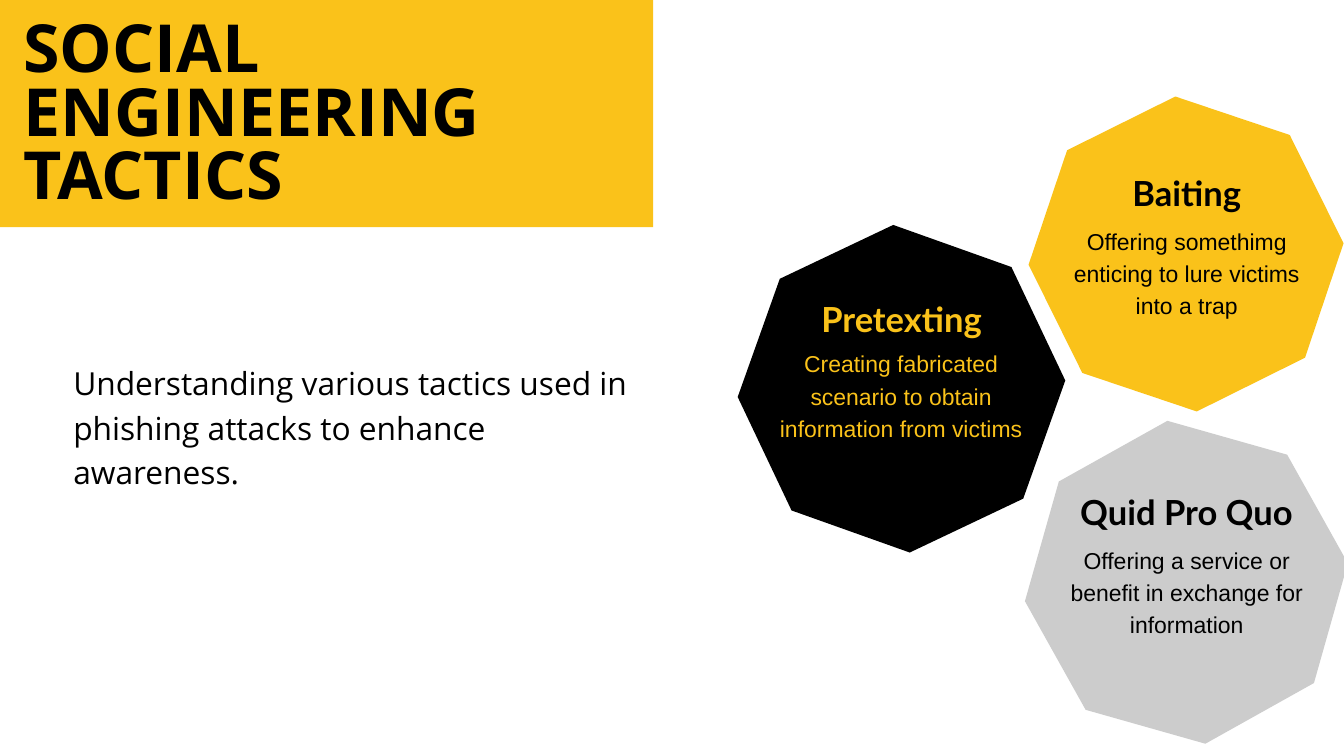
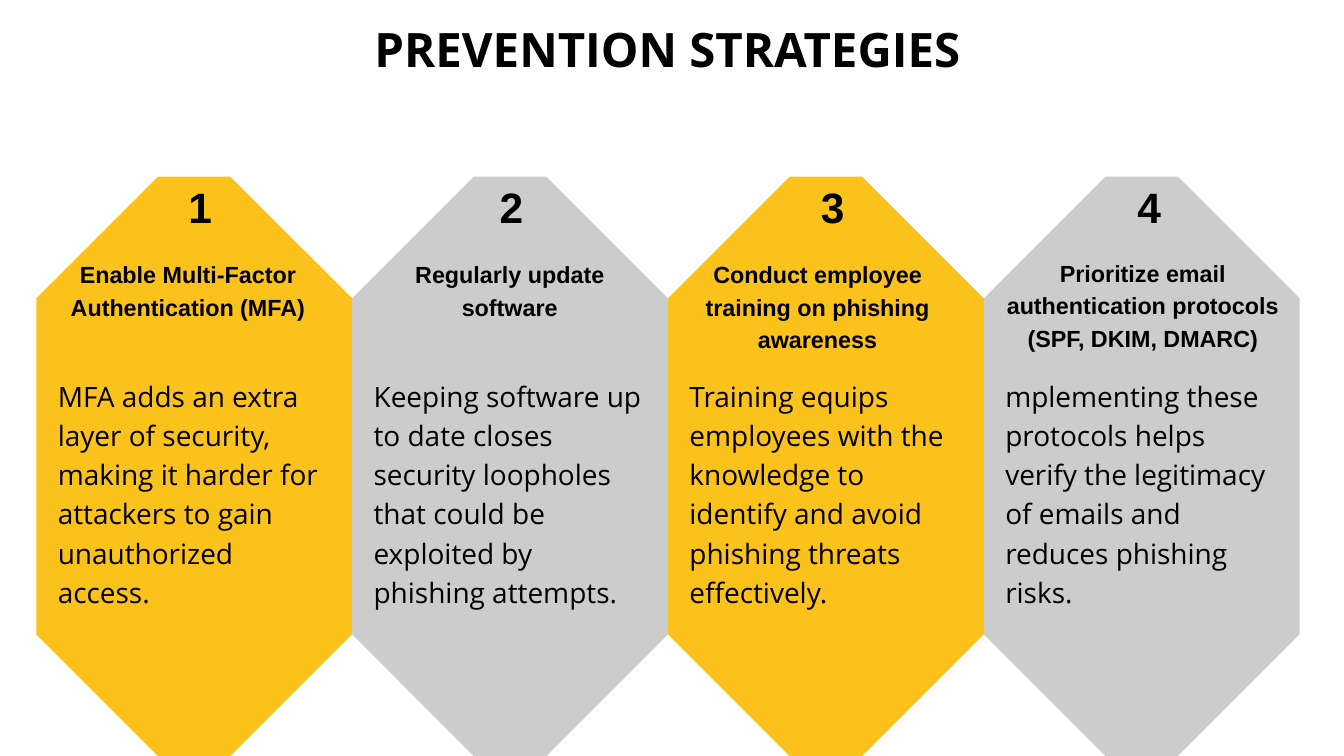
from pptx import Presentation
from pptx import util as u
from pptx.dml.color import RGBColor
from pptx.enum import shapes, text

COLORS = {"black": "000000", "gold": "FAC21A", "gray": "CCCCCC"}
TITLE = {"name": "Open Sans", "bold": True}
BODY = {"name": "Open Sans", "bold": False}
HEADING = {"name": "Lato", "bold": True, "size": u.Pt(37)}
DETAIL = {"name": "Arial", "bold": False, "size": u.Pt(24.6)}
NUMBER = {"name": "Arial", "bold": True, "size": u.Pt(45.5)}
LABEL = {"name": "Arial", "bold": True, "size": u.Pt(25)}
LEFT, CENTER = text.PP_ALIGN.LEFT, text.PP_ALIGN.CENTER
FRAME = {
    "margin_left": 0, "margin_top": 0, "margin_right": 0, "margin_bottom": 0,
    "word_wrap": True, "vertical_anchor": text.MSO_ANCHOR.TOP,
    "auto_size": text.MSO_AUTO_SIZE.NONE,
}


def write(sp, box, words, font, spacing, align=CENTER, color="black"):
    sp.left, sp.top, sp.width, sp.height = [u.Inches(v) for v in box]
    tf = sp.text_frame
    for key, value in FRAME.items():
        setattr(tf, key, value)
    p = tf.paragraphs[0]
    layout = {"alignment": align, "line_spacing": u.Pt(spacing), "space_before": u.Pt(0)}
    for key, value in layout.items():
        setattr(p, key, value)
    r = p.add_run()
    r.text = words
    for key, value in font.items():
        setattr(r.font, key, value)
    r.font.color.rgb = RGBColor.from_string(COLORS[color])
    return p


def add_octagon(s, x, y, w, h, cut, color, rotation=0):
    points = [
        (x + w - cut, y), (x + w, y + cut), (x + w, y + h - cut), (x + w - cut, y + h),
        (x + cut, y + h), (x, y + h - cut), (x, y + cut), (x + cut, y),
    ]
    points = [(u.Inches(px), u.Inches(py)) for px, py in points]
    outline = s.shapes.build_freeform(*points[0], scale=1.0)
    outline.add_line_segments(points[1:], close=True)
    sp = outline.convert_to_shape()
    sp.shadow.inherit = False
    sp.fill.solid()
    sp.fill.fore_color.rgb = RGBColor.from_string(COLORS[color])
    sp.line.fill.background()
    sp.rotation = rotation


prs = Presentation()
prs.slide_width, prs.slide_height = u.Inches(20), u.Inches(11.25)

s = prs.slides.add_slide(prs.slide_layouts[1])
band = s.shapes.add_shape(
    shapes.MSO_SHAPE.RECTANGLE, u.Inches(-0.58), 0, u.Inches(10.3), u.Inches(3.38))
band.shadow.inherit = False
band.fill.solid()
band.fill.fore_color.rgb = RGBColor.from_string(COLORS["gold"])
band.line.fill.background()
s.shapes.element.insert(2, band.element)

write(s.shapes.title, (0.35, 0.33, 9.01, 2.88), "SOCIAL ENGINEERING TACTICS",
      {**TITLE, "size": u.Pt(71)}, 68.2, LEFT)
p = write(s.placeholders[1], (1.09, 5.32, 8.63, 1.95),
          "Understanding various tactics used in phishing attacks to enhance awareness.",
          {**BODY, "size": u.Pt(34)}, 47.6, LEFT)
pPr = p._p.get_or_add_pPr()
pPr.set("marL", "0")
pPr.set("indent", "0")
pPr.append(pPr.makeelement("{http://schemas.openxmlformats.org/drawingml/2006/main}buNone", {}))

tactics = [
    ("Pretexting", "Creating fabricated scenario to obtain information from victims",
     (11.16, 3.53, 4.51), 19.6, "black", "gold", (12.12, 4.33, 2.59), (11.58, 5.14)),
    ("Quid Pro Quo", "Offering a service or benefit in exchange for information",
     (15.42, 6.43, 4.47), 330.8, "gray", "black", (16.01, 7.2, 3.29), (15.83, 8.06)),
    ("Baiting", "Offering somethimg enticing to lure victims into a trap",
     (15.48, 1.61, 4.34), 18.6, "gold", "black", (16.8, 2.46, 1.72), (15.83, 3.32)),
]
for name, detail, (x, y, size), rotation, fill, ink, heading_at, detail_at in tactics:
    add_octagon(s, x, y, size, size, size * 0.293, fill, rotation)
    write(s.shapes.add_textbox(0, 0, 0, 0), (*heading_at, 0.69), name, HEADING, 51.8, color=ink)
    write(s.shapes.add_textbox(0, 0, 0, 0), (*detail_at, 3.66, 1.39), detail, DETAIL, 34.4, color=ink)

s = prs.slides.add_slide(prs.slide_layouts[5])
write(s.shapes.title, (5.57, 0.36, 8.72, 1.58), "PREVENTION STRATEGIES",
      {**TITLE, "size": u.Pt(50.8)}, 56.9)

strategies = [
    ("Enable Multi-Factor Authentication (MFA)",
     "MFA adds an extra layer of security, making it harder for attackers to gain unauthorized access.",
     2.8, (0.55, 3.8, 4.49, 0.94)),
    ("Regularly update software",
     "Keeping software up to date closes security loopholes that could be exploited by phishing attempts.",
     7.43, (5.57, 3.8, 4.03, 0.94)),
    ("Conduct employee training on phishing awareness",
     "Training equips employees with the knowledge to identify and avoid phishing threats effectively.",
     12.21, (10, 3.8, 4.33, 1.42)),
    ("Prioritize email authentication protocols (SPF, DKIM, DMARC)",
     "mplementing these protocols helps verify the legitimacy of emails and reduces phishing risks.",
     16.92, (14.76, 3.78, 4.49, 1.42)),
]
card_width = 4.7
for i, (label, detail, number_x, label_box) in enumerate(strategies):
    x = 0.54 + i * card_width
    add_octagon(s, x, 2.63, card_width, 8.62, 1.81, ("gold", "gray")[i % 2])
    write(s.shapes.add_textbox(0, 0, 0, 0), (number_x, 2.57, 0.36, 0.84), str(i + 1), NUMBER, 63.7)
    write(s.shapes.add_textbox(0, 0, 0, 0), label_box, label, LABEL, 35)
    write(s.shapes.add_textbox(0, 0, 0, 0), (x + 0.32, 5.56, 4.06, 3.48), detail,
          {**BODY, "size": u.Pt(30)}, 42, LEFT)

prs.save("out.pptx")
